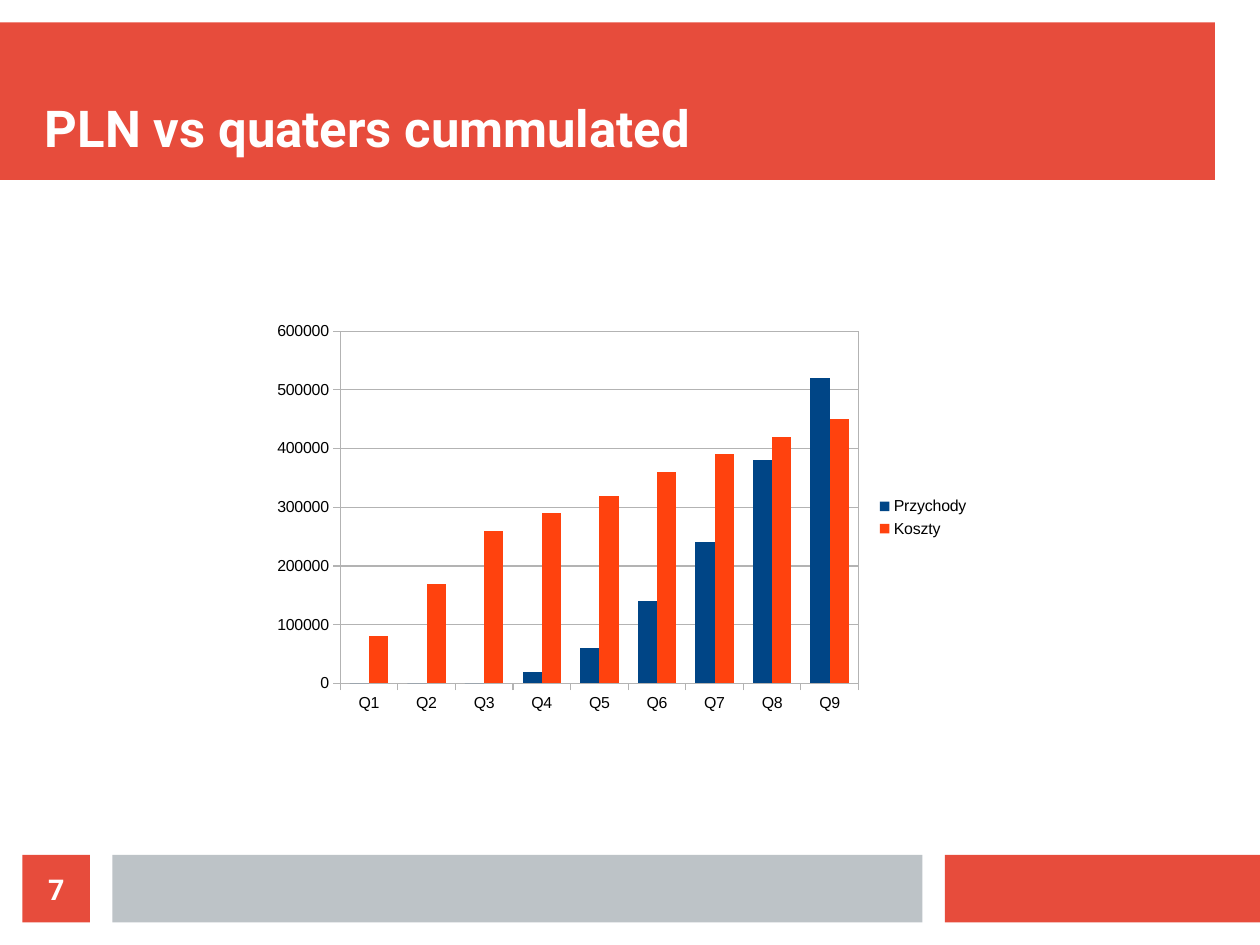
from lxml import etree
from pptx import Presentation
from pptx import util as u
from pptx.chart import data as cd
from pptx.dml.color import RGBColor
from pptx.enum import chart as ch, shapes, text as tx
from pptx.oxml import parse_xml
from pptx.oxml.ns import nsdecls

INK = {"red": "E74C3C", "gray": "BDC3C7", "white": "FFFFFF", "black": "000000",
       "grid": "B3B3B3", "blue": "004586", "orange": "FF420E"}
SALES = {
    "Przychody": ("blue", [0, 0, 0, 20000, 60000, 140000, 240000, 380000, 520000]),
    "Koszty": ("orange", [80000, 170000, 260000, 290000, 320000, 360000,
                          390000, 420000, 450000]),
}
HEAD = {"name": "Roboto", "size": u.Pt(32), "bold": True}
PAGE = {"name": "Roboto", "size": u.Pt(18), "bold": True}
LABEL = {"name": "Arial", "size": u.Pt(10), "bold": False}


def tint(name):
    return RGBColor.from_string(INK[name])


def style(font, look, color):
    for key, val in look.items():
        setattr(font, key, val)
    font.color.rgb = tint(color)


def paint(fill, color):
    fill.solid()
    fill.fore_color.rgb = tint(color)


def place(box):
    # Boxes are on a metric grid, in centimetres
    return [u.Inches(n / 2.54) for n in box]


def block(slide, box, color):
    shape = slide.shapes.add_shape(shapes.MSO_SHAPE.RECTANGLE, *place(box))
    shape.shadow.inherit = False
    paint(shape.fill, color)
    shape.line.fill.background()
    return shape


def write(shape, words, look, anchor, align):
    frame = shape.text_frame
    form = {"word_wrap": True, "vertical_anchor": anchor, "margin_left": 0,
            "margin_right": 0, "margin_top": 0, "margin_bottom": 0}
    for key, val in form.items():
        setattr(frame, key, val)
    para = frame.paragraphs[0]
    para.alignment = align
    run = para.add_run()
    run.text = words
    style(run.font, look, "white")


def header(slide, box, words):
    left, top, wide, high = box
    block(slide, box, "red")
    area = (left + 1, top + 0.5, wide - 1, high - 1)
    title = slide.shapes.add_textbox(*place(area))
    write(title, words, HEAD, tx.MSO_ANCHOR.BOTTOM, tx.PP_ALIGN.LEFT)


def footer(slide, box, number):
    left, top, wide, high = box
    gap, bar = 0.5, 18
    mid = left + high + gap
    end = mid + bar + gap
    block(slide, (end, top, left + wide - end, high), "red")
    block(slide, (mid, top, bar, high), "gray")
    page = block(slide, (left, top, high, high), "red")
    write(page, number, PAGE, tx.MSO_ANCHOR.MIDDLE, tx.PP_ALIGN.CENTER)


def frame_plot(chart):
    # Fixed plot area with a thin border
    area = chart._chartSpace.chart.plotArea
    for old in area.xpath("c:layout"):
        area.remove(old)
    spots = {"x": 0.11, "y": 0.04, "w": 0.72, "h": 0.87}
    layout = parse_xml(f'<c:layout {nsdecls("c")}><c:manualLayout>'
                       '<c:layoutTarget val="inner"/><c:xMode val="edge"/>'
                       '<c:yMode val="edge"/></c:manualLayout></c:layout>')
    for key, val in spots.items():
        etree.SubElement(layout[0], layout.tag.replace("layout", key), val=str(val))
    area.insert(0, layout)
    area.append(parse_xml(
        f'<c:spPr {nsdecls("c", "a")}><a:noFill/><a:ln w="0"><a:solidFill>'
        f'<a:srgbClr val="{INK["grid"]}"/></a:solidFill></a:ln></c:spPr>'))


def columns(slide, box):
    data = cd.CategoryChartData()
    data.categories = [f"Q{n}" for n in range(1, 10)]
    for name, (_, vals) in SALES.items():
        data.add_series(name, vals)
    kind = ch.XL_CHART_TYPE.COLUMN_CLUSTERED
    chart = slide.shapes.add_chart(kind, *place(box), data).chart
    chart.has_title = False
    style(chart.font, LABEL, "black")

    # Series
    plot = chart.plots[0]
    form = {"gap_width": 100, "overlap": 0, "vary_by_categories": False}
    for key, val in form.items():
        setattr(plot, key, val)
    for bars, (color, _) in zip(plot.series, SALES.values()):
        paint(bars.format.fill, color)
        bars.invert_if_negative = False

    # Axes
    rows = chart.value_axis
    form = {"minimum_scale": 0, "maximum_scale": 600000, "major_unit": 100000,
            "has_major_gridlines": True}
    for key, val in form.items():
        setattr(rows, key, val)
    for axis in (chart.category_axis, rows):
        axis.major_tick_mark = ch.XL_TICK_MARK.OUTSIDE
        style(axis.tick_labels.font, LABEL, "black")
    for part in (chart.category_axis, rows, rows.major_gridlines):
        part.format.line.width = 0
        part.format.line.color.rgb = tint("grid")

    # Legend
    chart.has_legend = True
    chart.legend.position = ch.XL_LEGEND_POSITION.RIGHT
    chart.legend.include_in_layout = False
    style(chart.legend.font, LABEL, "black")
    frame_plot(chart)


def main():
    deck = Presentation()
    deck.slide_width, deck.slide_height = place((28, 21))
    slide = deck.slides.add_slide(deck.slide_layouts[6])
    header(slide, (0, 0.5, 27, 3.5), "PLN vs quaters cummulated")
    columns(slide, (5.8, 7, 16, 9))
    footer(slide, (0.5, 19, 27.5, 1.5), "7")
    deck.save("out.pptx")


if __name__ == "__main__":
    main()
